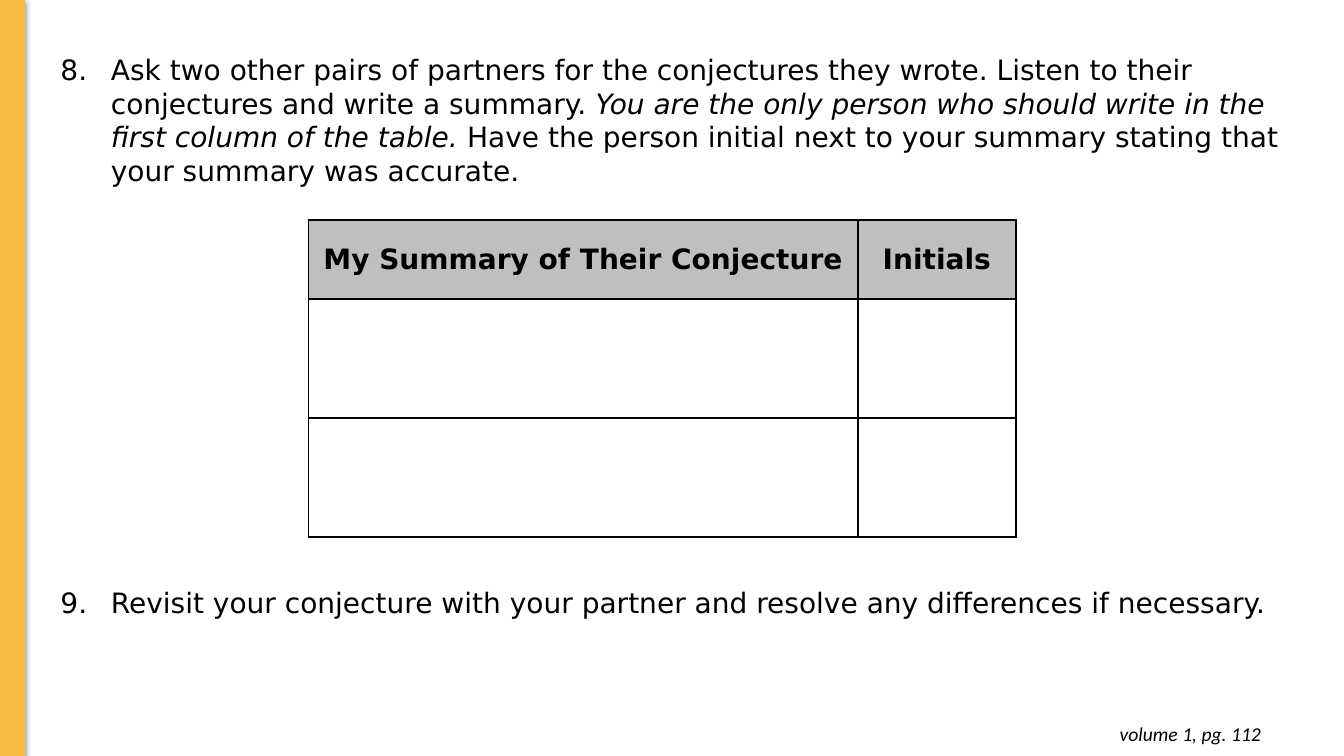
from lxml.etree import SubElement
from pptx import Presentation
from pptx.dml.color import RGBColor
from pptx.enum.shapes import MSO_SHAPE
from pptx.enum.text import MSO_ANCHOR, MSO_AUTO_SIZE, PP_ALIGN
from pptx.oxml.ns import qn
from pptx.util import Pt

HUES = {"gold": "FABB42", "ink": "000000", "head": "BFBFBF"}
STEPS = [
    (8, (36, 33.84, 893.5, 104.4), [
        ("Ask two other pairs of partners for the conjectures they wrote. "
         "Listen to their conjectures and write a summary. ", False),
        ("You are the only person who should write in the first column "
         "of the table.", True),
        (" Have the person initial next to your summary stating that "
         "your summary was accurate.", False),
    ]),
    (9, (36, 414.72, 893.5, 31.68), [
        ("Revisit your conjecture with your partner and resolve any "
         "differences if necessary.", False),
    ]),
]
HEADS = ["My Summary of Their Conjecture", "Initials"]
COLS = [392.4, 113.04]
ROWS = [56.88, 85, 85]
GRID = (220.32, 156.96)
NOTE = "volume 1, pg. 112"
NOTE_BOX = (700.56, 508.32, 207.36, 31.68)
BAR = (0, 0, 17.3, 540)
INDENT = 36

BODY = {"name": "DejaVu Sans", "size": Pt(20)}
HEAD = {**BODY, "bold": True}
FOOT = {"name": "Calibri", "size": Pt(14), "italic": True}
PAD = dict.fromkeys(
    ["margin_left", "margin_right", "margin_top", "margin_bottom"], Pt(7.2))


def tint(name):
    return RGBColor.from_string(HUES[name])


def put(item, style):
    for key, value in style.items():
        setattr(item, key, value)


def ink(font, style):
    put(font, style)
    font.color.rgb = tint("ink")


def place(shape, box):
    put(shape, dict(zip(["left", "top", "width", "height"], map(Pt, box))))


def node(host, tag, **attrs):
    return SubElement(host, qn(tag), attrs)


def paint(host, name):
    fill = node(host, "a:solidFill")
    return node(fill, "a:srgbClr", val=HUES[name])


def draw_bar(slide):
    bar = slide.shapes.add_shape(MSO_SHAPE.RECTANGLE, *map(Pt, BAR))
    bar.shadow.inherit = False
    bar.fill.solid()
    bar.fill.fore_color.rgb = tint("gold")
    bar.line.color.rgb = tint("gold")
    bar.line.width = Pt(0.75)
    glow = bar.element.spPr.find(qn("a:effectLst"))
    shade = node(glow, "a:outerShdw", blurRad=str(Pt(4.5)),
                 dist=str(Pt(1.5)), dir="5400000", rotWithShape="0")
    tone = node(shade, "a:srgbClr", val=HUES["ink"])
    node(tone, "a:alpha", val="50000")


def draw_step(shape, start, box, runs):
    place(shape, box)
    frame = shape.text_frame
    put(frame, {"word_wrap": True, "auto_size": MSO_AUTO_SIZE.NONE,
                "vertical_anchor": MSO_ANCHOR.TOP})
    para = frame.paragraphs[0]
    props = para._p.get_or_add_pPr()
    props.set("marL", str(Pt(INDENT)))
    props.set("indent", str(-Pt(INDENT)))
    hue = node(props, "a:buClr")
    node(hue, "a:srgbClr", val=HUES["ink"])
    node(props, "a:buFont", typeface=BODY["name"])
    node(props, "a:buAutoNum", type="arabicPeriod", startAt=str(start))
    para.space_before = Pt(0)
    for text, slant in runs:
        run = para.add_run()
        run.text = text
        ink(run.font, {**BODY, "italic": slant})


def draw_grid(slide):
    box = (*GRID, sum(COLS), sum(ROWS))
    table = slide.shapes.add_table(
        len(ROWS), len(COLS), *map(Pt, box)).table
    table.horz_banding = False
    for col, width in zip(table.columns, COLS):
        col.width = Pt(width)
    for row, height in zip(table.rows, ROWS):
        row.height = Pt(height)
    for cell in table.iter_cells():
        props = cell._tc.get_or_add_tcPr()
        for side in ["lnL", "lnR", "lnT", "lnB"]:
            paint(node(props, "a:" + side, w=str(Pt(1.5))), "ink")
        cell.fill.background()
    for cell, text in zip(table.rows[0].cells, HEADS):
        cell.fill.solid()
        cell.fill.fore_color.rgb = tint("head")
        cell.vertical_anchor = MSO_ANCHOR.MIDDLE
        cell.text = text
        para = cell.text_frame.paragraphs[0]
        para.alignment = PP_ALIGN.CENTER
        ink(para.runs[0].font, HEAD)


def draw_note(slide):
    frame = slide.shapes.add_textbox(*map(Pt, NOTE_BOX)).text_frame
    put(frame, {**PAD, "word_wrap": True})
    para = frame.paragraphs[0]
    para.alignment = PP_ALIGN.RIGHT
    run = para.add_run()
    run.text = NOTE
    ink(run.font, FOOT)


def main():
    deck = Presentation()
    put(deck, {"slide_width": Pt(960), "slide_height": Pt(540)})
    slide = deck.slides.add_slide(deck.slide_layouts[3])
    title, *lists = slide.placeholders
    title.element.getparent().remove(title.element)
    draw_bar(slide)
    for shape, step in zip(lists, STEPS):
        draw_step(shape, *step)
    draw_grid(slide)
    draw_note(slide)
    deck.save("out.pptx")


if __name__ == "__main__":
    main()
